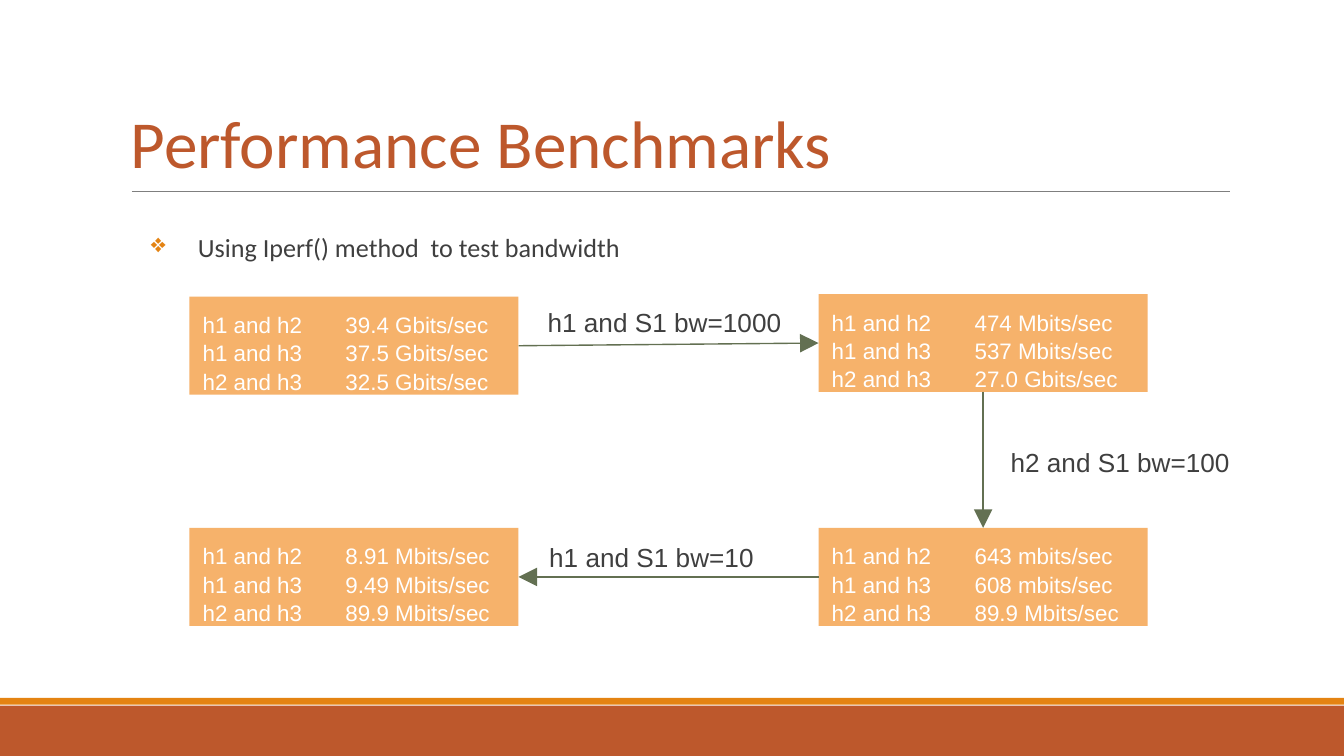
from dataclasses import dataclass

import pptx
import pptx.dml.color
import pptx.enum.shapes
import pptx.enum.text
import pptx.oxml.ns
import pptx.util
from lxml import etree

Cm = pptx.util.Cm
Pt = pptx.util.Pt
RGBColor = pptx.dml.color.RGBColor
qn = pptx.oxml.ns.qn

RUST = RGBColor(0xBD, 0x58, 0x2C)
ORANGE = RGBColor(0xE4, 0x83, 0x12)
LIGHT_ORANGE = RGBColor(0xF6, 0xB2, 0x6B)
GREEN = RGBColor(0x63, 0x70, 0x52)
GRAY = RGBColor(0x7F, 0x7F, 0x7F)
DARK = RGBColor(0x3F, 0x3F, 0x3F)
WHITE = RGBColor(0xFF, 0xFF, 0xFF)

SLIDE_WIDTH, SLIDE_HEIGHT = 25.4, 14.29
BOX_WIDTH, BOX_HEIGHT = 6.22, 1.85
LEFT_COLUMN, RIGHT_COLUMN = 3.58, 15.47
LOWER_ROW = 9.98
VALUE_TAB = 2.7
TOP, LEFT, BOTTOM, RIGHT = range(4)  # connection sites of a rectangle


@dataclass
class Result:
    left: float
    top: float
    rates: tuple[str, str, str]


@dataclass
class Step:
    source: int
    source_site: int
    target: int
    target_site: int
    label: str
    label_left: float
    label_top: float


HOST_PAIRS = ("h1 and h2", "h1 and h3", "h2 and h3")
RESULTS = (
    Result(LEFT_COLUMN, 5.61, ("39.4 Gbits/sec", "37.5 Gbits/sec", "32.5 Gbits/sec")),
    Result(RIGHT_COLUMN, 5.56, ("474 Mbits/sec", "537 Mbits/sec", "27.0 Gbits/sec")),
    Result(RIGHT_COLUMN, LOWER_ROW, ("643 mbits/sec", "608 mbits/sec", "89.9 Mbits/sec")),
    Result(LEFT_COLUMN, LOWER_ROW, ("8.91 Mbits/sec", "9.49 Mbits/sec", "89.9 Mbits/sec")),
)
STEPS = (
    Step(0, RIGHT, 1, LEFT, "h1 and S1 bw=1000", 10.1, 5.54),
    Step(1, BOTTOM, 2, TOP, "h2 and S1 bw=100", 18.85, 8.18),
    Step(2, LEFT, 3, RIGHT, "h1 and S1 bw=10", 10.13, 9.98),
)


def add_run(paragraph, text: str, size: float, font: str, color: RGBColor) -> None:
    run = paragraph.add_run()
    run.text = text
    run.font.size = Pt(size)
    run.font.name = font
    run.font.color.rgb = color


def set_frame(shape, margin: float, anchor=pptx.enum.text.MSO_ANCHOR.TOP):
    frame = shape.text_frame
    frame.word_wrap = True
    frame.auto_size = pptx.enum.text.MSO_AUTO_SIZE.NONE
    frame.vertical_anchor = anchor
    frame.margin_left = frame.margin_right = Cm(margin)
    frame.margin_top = frame.margin_bottom = Cm(margin)
    return frame


def add_rectangle(slide, left: float, top: float, width: float, height: float,
                  color: RGBColor):
    shape = slide.shapes.add_shape(pptx.enum.shapes.MSO_SHAPE.RECTANGLE,
                                   Cm(left), Cm(top), Cm(width), Cm(height))
    shape.shadow.inherit = False
    shape.fill.solid()
    shape.fill.fore_color.rgb = color
    shape.line.fill.background()
    return shape


def add_line(slide, color: RGBColor, left: float = 0, right: float = 0, top: float = 0):
    line = slide.shapes.add_connector(pptx.enum.shapes.MSO_CONNECTOR.STRAIGHT,
                                      Cm(left), Cm(top), Cm(right), Cm(top))
    line.line.color.rgb = color
    line.line.width = Pt(0.75)
    etree.SubElement(line._element.spPr, qn("a:effectLst"))
    return line


def add_text(slide, left: float, top: float, width: float, height: float, margin: float):
    box = slide.shapes.add_textbox(Cm(left), Cm(top), Cm(width), Cm(height))
    return set_frame(box, margin).paragraphs[0]


def add_title(slide, text: str) -> None:
    title = slide.shapes.title
    title.left, title.top = Cm(2.29), Cm(0.61)
    title.width, title.height = Cm(20.96), Cm(3.02)
    frame = set_frame(title, 0.18, pptx.enum.text.MSO_ANCHOR.BOTTOM)
    paragraph = frame.paragraphs[0]
    paragraph.alignment = pptx.enum.text.PP_ALIGN.LEFT
    paragraph.line_spacing = 0.85
    add_run(paragraph, text, 36, "Calibri", RUST)


def add_bullet(slide, text: str) -> None:
    paragraph = add_text(slide, 2.29, 3.89, 21.41, 1.27, 0.18)
    paragraph.line_spacing = 1.5
    paragraph.space_after = Pt(2)
    properties = paragraph._p.get_or_add_pPr()
    properties.set("marL", str(Cm(1.27)))
    properties.set("indent", str(Cm(-0.89)))
    color = etree.SubElement(properties, qn("a:buClr"))
    etree.SubElement(color, qn("a:srgbClr"), val=str(ORANGE))
    etree.SubElement(properties, qn("a:buChar"), char="❖")
    add_run(paragraph, text, 14, "Calibri", DARK)


def add_result(slide, result: Result):
    box = add_rectangle(slide, result.left, result.top, BOX_WIDTH, BOX_HEIGHT, LIGHT_ORANGE)
    frame = set_frame(box, 0.25)
    for index, (pair, rate) in enumerate(zip(HOST_PAIRS, result.rates)):
        paragraph = frame.add_paragraph() if index else frame.paragraphs[0]
        paragraph.alignment = pptx.enum.text.PP_ALIGN.LEFT
        paragraph.line_spacing = 1.05
        tabs = etree.SubElement(paragraph._p.get_or_add_pPr(), qn("a:tabLst"))
        etree.SubElement(tabs, qn("a:tab"), pos=str(Cm(VALUE_TAB)), algn="l")
        add_run(paragraph, f"{pair}\t{rate}", 12, "Arial", WHITE)
    return box


def add_step(slide, boxes: list, step: Step) -> None:
    arrow = add_line(slide, GREEN)
    arrow.begin_connect(boxes[step.source], step.source_site)
    arrow.end_connect(boxes[step.target], step.target_site)
    outline = arrow.line._get_or_add_ln()
    etree.SubElement(outline, qn("a:tailEnd"), type="triangle", w="lg", len="lg")
    paragraph = add_text(slide, step.label_left, step.label_top, 5.03, 1.22, 0.25)
    add_run(paragraph, step.label, 14, "Arial", DARK)


def main() -> None:
    presentation = pptx.Presentation()
    presentation.slide_width = Cm(SLIDE_WIDTH)
    presentation.slide_height = Cm(SLIDE_HEIGHT)
    slide = presentation.slides.add_slide(presentation.slide_layouts[5])

    # Footer bands and title rule
    add_rectangle(slide, 0, 13.34, SLIDE_WIDTH, 0.95, RUST)
    add_rectangle(slide, 0, 13.19, SLIDE_WIDTH, 0.13, ORANGE)
    add_line(slide, GRAY, 2.49, 23.24, 3.62)

    # Heading
    add_title(slide, "Performance Benchmarks")
    add_bullet(slide, "Using Iperf() method  to test bandwidth")

    # Measured bandwidths and the changes between them
    boxes = [add_result(slide, result) for result in RESULTS]
    for step in STEPS:
        add_step(slide, boxes, step)

    presentation.save("out.pptx")


if __name__ == "__main__":
    main()
